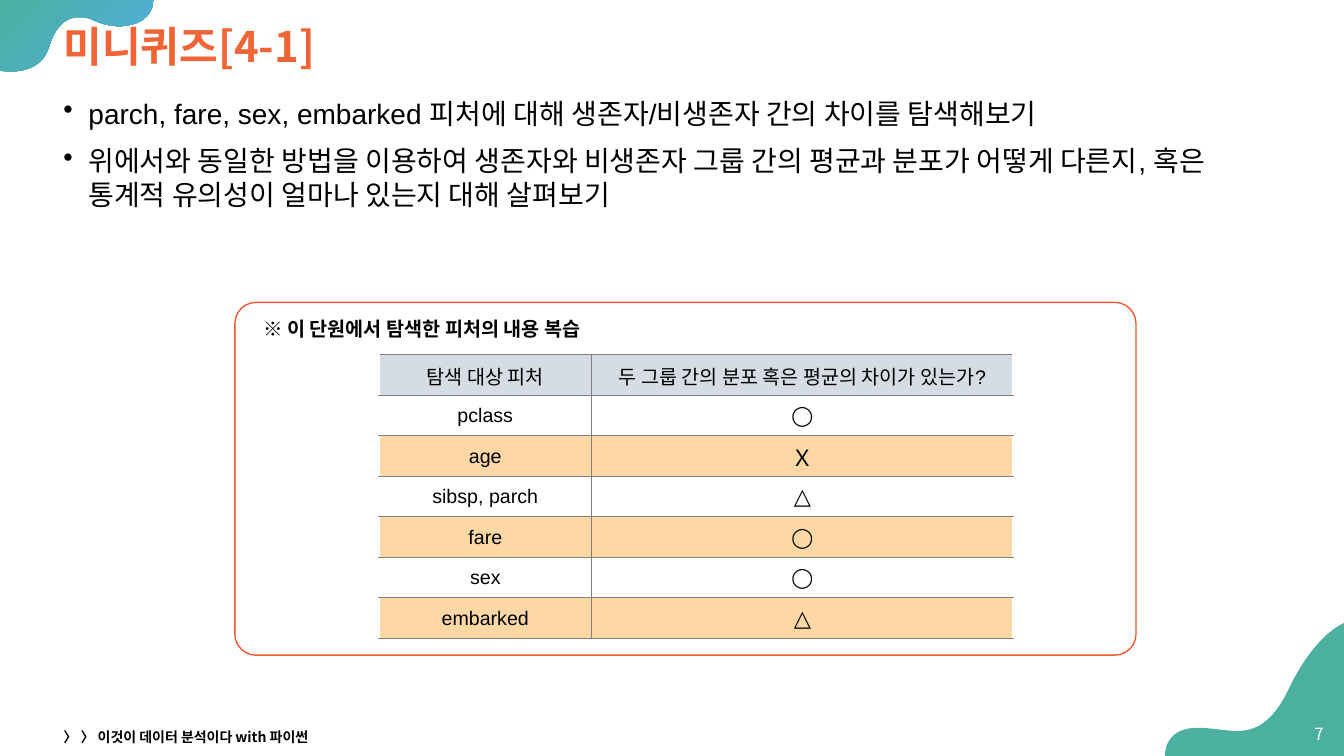
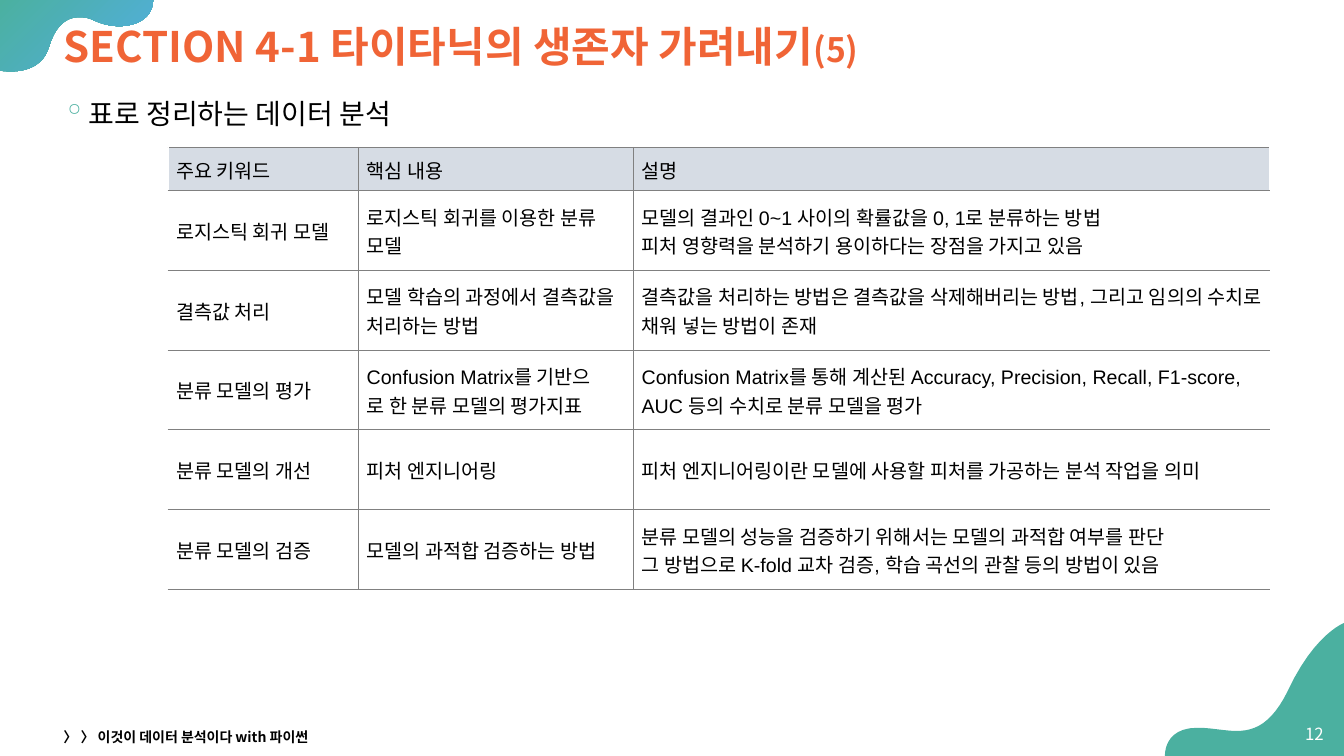
from lxml.etree import SubElement
from pptx import Presentation
from pptx.dml.color import RGBColor
from pptx.enum.shapes import MSO_SHAPE
from pptx.enum.text import MSO_ANCHOR as ANCHOR, MSO_AUTO_SIZE as AUTO_SIZE, PP_ALIGN as ALIGN
from pptx.oxml.ns import qn
from pptx.util import Cm, Pt

# Colours and fonts
ORANGE = RGBColor(0xF0, 0x64, 0x36)
FRAME_ORANGE = RGBColor(0xF1, 0x5A, 0x31)
TEAL = RGBColor(0x4B, 0xB0, 0xA0)
SKY = RGBColor(0x52, 0xAE, 0xE1)
HEADER_GREY = RGBColor(0xD6, 0xDC, 0xE4)
RULE_GREY = RGBColor(0x80, 0x80, 0x80)
PEACH = RGBColor(0xFD, 0xD8, 0xA4)
BLACK = RGBColor(0, 0, 0)
WHITE = RGBColor(0xFF, 0xFF, 0xFF)
LATIN, KOREAN = "Arial", "Noto Sans CJK KR"

# Content: in cells, \n starts a paragraph and \v breaks a line
FOOTER = "〉 〉 이것이 데이터 분석이다 with 파이썬"

QUIZ_TITLE = [("미니퀴즈[4-1]", 30)]
QUIZ_TASKS = [
    "parch, fare, sex, embarked 피처에 대해 생존자/비생존자 간의 차이를 탐색해보기",
    "위에서와 동일한 방법을 이용하여 생존자와 비생존자 그룹 간의 평균과 분포가 "
    "어떻게 다른지, 혹은 통계적 유의성이 얼마나 있는지 대해 살펴보기",
]
REVIEW_CAPTION = "※ 이 단원에서 탐색한 피처의 내용 복습"
REVIEW_ROWS = [
    ("탐색 대상 피처", "두 그룹 간의 분포 혹은 평균의 차이가 있는가?"),
    ("pclass", "◯"),
    ("age", "Ｘ"),
    ("sibsp, parch", "△"),
    ("fare", "◯"),
    ("sex", "◯"),
    ("embarked", "△"),
]
MARK_SIZES = {"Ｘ": 16, "△": 16}

SUMMARY_TITLE = [("SECTION 4-1 타이타닉의 생존자 가려내기", 30), ("(5)", 24)]
SUMMARY_HEADING = ["표로 정리하는 데이터 분석"]
SUMMARY_ROWS = [
    ("주요 키워드", "핵심 내용", "설명"),
    ("로지스틱 회귀 모델", "로지스틱 회귀를 이용한 분류 모델",
     "모델의 결과인 0~1 사이의 확률값을 0, 1로 분류하는 방법\n"
     "피처 영향력을 분석하기 용이하다는 장점을 가지고 있음"),
    ("결측값 처리", "모델 학습의 과정에서 결측값을 처리하는 방법",
     "결측값을 처리하는 방법은 결측값을 삭제해버리는 방법, "
     "그리고 임의의 수치로 채워 넣는 방법이 존재"),
    ("분류 모델의 평가", "Confusion Matrix를 기반으\n로 한 분류 모델의 평가지표",
     "Confusion Matrix를 통해 계산된 Accuracy, Precision, Recall, F1-score, "
     "AUC 등의 수치로 분류 모델을 평가"),
    ("분류 모델의 개선", "피처 엔지니어링",
     "피처 엔지니어링이란 모델에 사용할 피처를 가공하는 분석 작업을 의미"),
    ("분류 모델의 검증", "모델의 과적합 검증하는 방법",
     "분류 모델의 성능을 검증하기 위해서는 모델의 과적합 여부를 판단\v"
     "그 방법으로 K-fold 교차 검증, 학습 곡선의 관찰 등의 방법이 있음"),
]

# Geometry in centimetres
WIDTH, HEIGHT = 33.87, 19.05
LEFT, TEXT_WIDTH = 1.35, 31.34

# Each wave: slide corner, start on the edge, then Bezier segments
TOP_WAVE = ((0, 0), (0, 1.78), [
    ((0, 1.78), (0.1, 1.8), (0.28, 1.8)),
    ((0.61, 1.8), (1.09, 1.7), (1.24, 1.17)),
    ((1.42, 0.58), (1.73, 0.43), (2.01, 0.43)),
    ((2.13, 0.43), (2.26, 0.46), (2.36, 0.51)),
    ((2.57, 0.61), (2.79, 0.66), (3, 0.66)),
    ((3.48, 0.66), (3.86, 0.43), (3.86, 0)),
])
BOTTOM_WAVE = ((WIDTH, HEIGHT), (WIDTH, 15.7), [
    ((WIDTH, 15.7), (33.12, 15.98), (32.46, 17.4)),
    ((32.05, 18.24), (31.62, 18.42), (31.17, 18.42)),
    ((30.86, 18.42), (30.53, 18.34), (30.18, 18.34)),
    ((29.31, 18.34), (29.36, HEIGHT), (29.36, HEIGHT)),
])


def box(*lengths):
    return [Cm(length) for length in lengths]


def style(paragraph, size, color=BLACK, latin=LATIN, bold=False):
    font = paragraph.font
    font.size, font.bold, font.name = Pt(size), bold, latin
    font.color.rgb = color
    SubElement(font._rPr, qn("a:ea"), typeface=KOREAN)


def add_label(slide, place, text, size, color=BLACK, latin=KOREAN, bold=False,
              align=ALIGN.LEFT, anchor=ANCHOR.MIDDLE):
    frame = slide.shapes.add_textbox(*box(*place)).text_frame
    frame.word_wrap, frame.vertical_anchor = True, anchor
    line = frame.paragraphs[0]
    line.text, line.alignment = text, align
    style(line, size, color, latin, bold)


def add_wave(slide, corner, edge, curves, steps=12):
    points, start = [edge], edge
    for c1, c2, end in curves:
        for step in range(1, steps + 1):
            t = step / steps
            weights = ((1 - t) ** 3, 3 * t * (1 - t) ** 2, 3 * t * t * (1 - t), t ** 3)
            points.append(tuple(sum(w * p[axis] for w, p in zip(weights, (start, c1, c2, end)))
                                for axis in (0, 1)))
        start = end
    outline = slide.shapes.build_freeform(*box(*corner))
    outline.add_line_segments([box(*point) for point in points], close=True)
    wave = outline.convert_to_shape()
    wave.shadow.inherit = False
    wave.line.fill.background()
    return wave


def add_page(title_runs, number):
    slide = deck.slides.add_slide(deck.slide_layouts[5])

    # Corner waves
    top_fill = add_wave(slide, *TOP_WAVE).fill
    top_fill.gradient()
    top_fill.gradient_angle = 315
    for stop, color, position in zip(top_fill.gradient_stops, (TEAL, SKY), (0, 1)):
        stop.color.rgb, stop.position = color, position
    bottom_fill = add_wave(slide, *BOTTOM_WAVE).fill
    bottom_fill.solid()
    bottom_fill.fore_color.rgb = TEAL

    # Title, in front of the waves
    title = slide.shapes.title
    slide.shapes._spTree.append(title._element)
    title.left, title.top, title.width, title.height = box(LEFT, 0.3, TEXT_WIDTH, 1.85)
    title.text_frame.auto_size = AUTO_SIZE.NONE
    title.text_frame.vertical_anchor = ANCHOR.MIDDLE
    heading = title.text_frame.paragraphs[0]
    heading.alignment, heading.line_spacing = ALIGN.LEFT, 0.9
    style(heading, title_runs[0][1], ORANGE, KOREAN, True)
    for text, size in title_runs:
        run = heading.add_run()
        run.text, run.font.size = text, Pt(size)

    # Page number and footer
    add_label(slide, (32.49, 17.98, 1.12, 1.02), str(number), 12, WHITE, align=ALIGN.RIGHT)
    add_label(slide, (LEFT, 18.26, 11.43, 0.61), FOOTER, 10, bold=True)
    return slide


def add_bullets(slide, lines, height, mark, mark_color):
    frame = slide.shapes.add_textbox(*box(LEFT, 2.3, TEXT_WIDTH, height)).text_frame
    frame.word_wrap = True
    for index, text in enumerate(lines):
        item = frame.add_paragraph() if index else frame.paragraphs[0]
        item.text = text
        props = item._p.get_or_add_pPr()
        props.set("marL", str(Cm(0.63)))
        props.set("indent", str(Cm(-0.63)))
        SubElement(SubElement(props, qn("a:buClr")), qn("a:srgbClr"), val=str(mark_color))
        SubElement(props, qn("a:buChar"), char=mark)
        style(item, 20)
        if index:
            item.space_before = Pt(10)


def add_borders(cell, sides):
    props = cell._tc.get_or_add_tcPr()
    for side in sides:
        line = SubElement(props, qn("a:ln" + side), w=str(Pt(0.5)))
        SubElement(SubElement(line, qn("a:solidFill")), qn("a:srgbClr"), val=str(RULE_GREY))


def add_grid(slide, left, top, widths, heights, rows, align, inset, row_fills):
    place = box(left, top, sum(widths), sum(heights))
    grid = slide.shapes.add_table(len(rows), len(widths), *place).table
    grid.first_row = grid.horz_banding = False
    for column, width in zip(grid.columns, widths):
        column.width = Cm(width)
    for r, (texts, height, fill) in enumerate(zip(rows, heights, row_fills)):
        grid.rows[r].height = Cm(height)
        for c, text in enumerate(texts):
            cell = grid.cell(r, c)
            cell.margin_left, cell.margin_top, cell.margin_right, cell.margin_bottom = box(
                inset, 0.03, 0.03, 0)
            cell.vertical_anchor = ANCHOR.MIDDLE
            # Inner vertical rules only; horizontal rules everywhere
            add_borders(cell, ["L"] * (c > 0) + ["R"] * (c < len(widths) - 1) + ["T", "B"])
            if fill is None:
                cell.fill.background()
            else:
                cell.fill.solid()
                cell.fill.fore_color.rgb = fill
            cell.text_frame.text = text
            for line in cell.text_frame.paragraphs:
                line.alignment = align
                style(line, MARK_SIZES.get(text, 14))


deck = Presentation()
deck.slide_width, deck.slide_height = box(WIDTH, HEIGHT)

# Quiz slide
quiz = add_page(QUIZ_TITLE, 7)
add_bullets(quiz, QUIZ_TASKS, 5.66, "•", BLACK)
review_frame = quiz.shapes.add_shape(MSO_SHAPE.ROUNDED_RECTANGLE, *box(5.92, 7.62, 22.71, 8.89))
review_frame.adjustments[0] = 0.06
review_frame.shadow.inherit = False
review_frame.fill.background()
review_frame.line.color.rgb, review_frame.line.width = FRAME_ORANGE, Pt(1)
add_grid(quiz, 9.55, 8.94, [5.36, 10.62], [1.02] * len(REVIEW_ROWS), REVIEW_ROWS,
         ALIGN.CENTER, 0.03, [HEADER_GREY] + [WHITE, PEACH] * 3)
add_label(quiz, (6.38, 7.87, 9.78, 0.86), REVIEW_CAPTION, 14, latin=LATIN, bold=True,
          anchor=ANCHOR.TOP)

# Summary slide
summary = add_page(SUMMARY_TITLE, 12)
add_bullets(summary, SUMMARY_HEADING, 14.99, "◦", TEAL)
topics = len(SUMMARY_ROWS) - 1
add_grid(summary, 4.24, 3.71, [4.8, 6.93, 16.03], [1.09] + [2.01] * topics, SUMMARY_ROWS,
         ALIGN.LEFT, 0.2, [HEADER_GREY] + [None] * topics)

deck.save("out.pptx")
